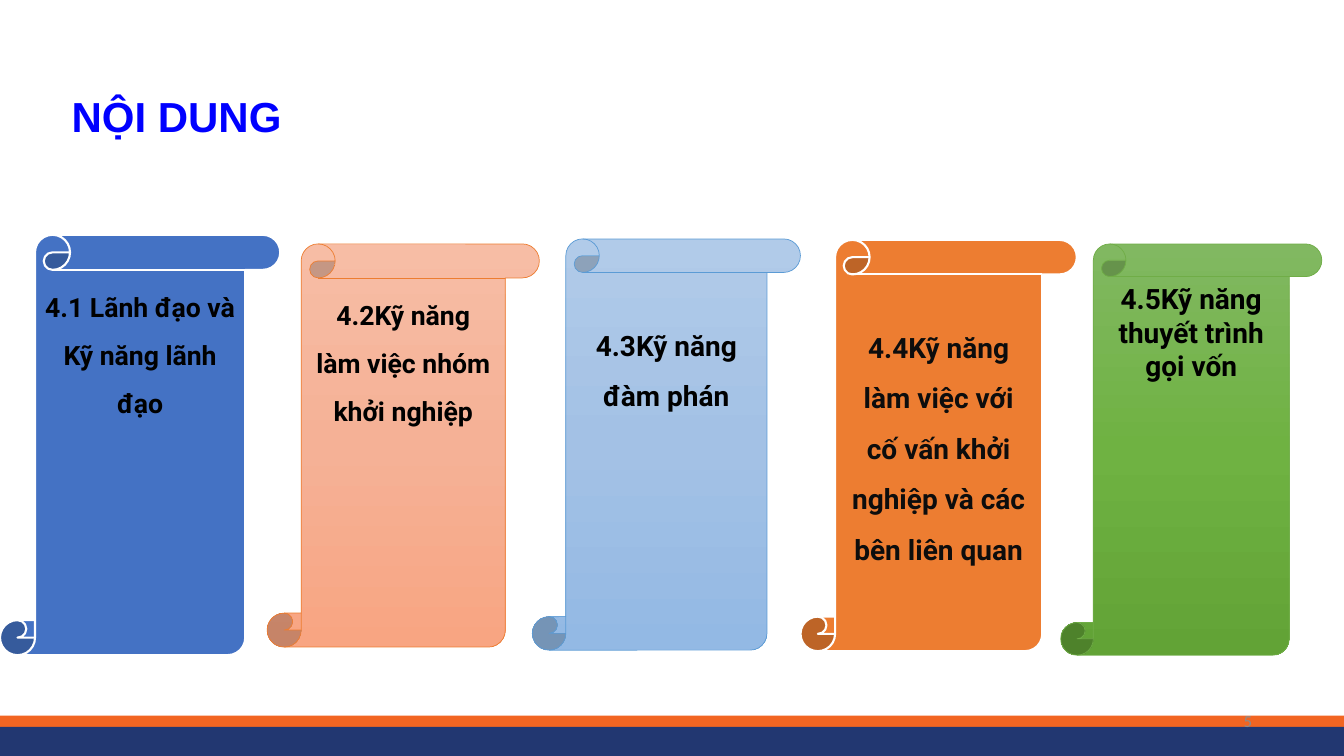
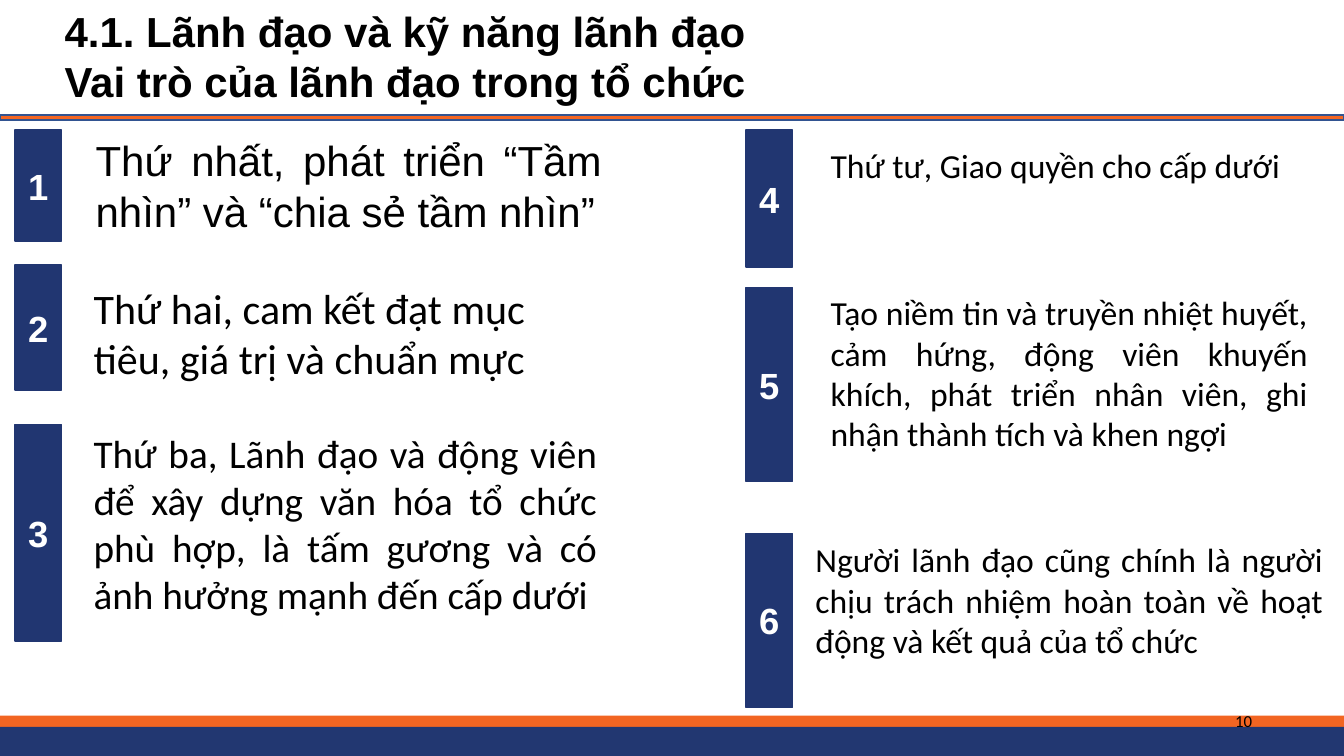
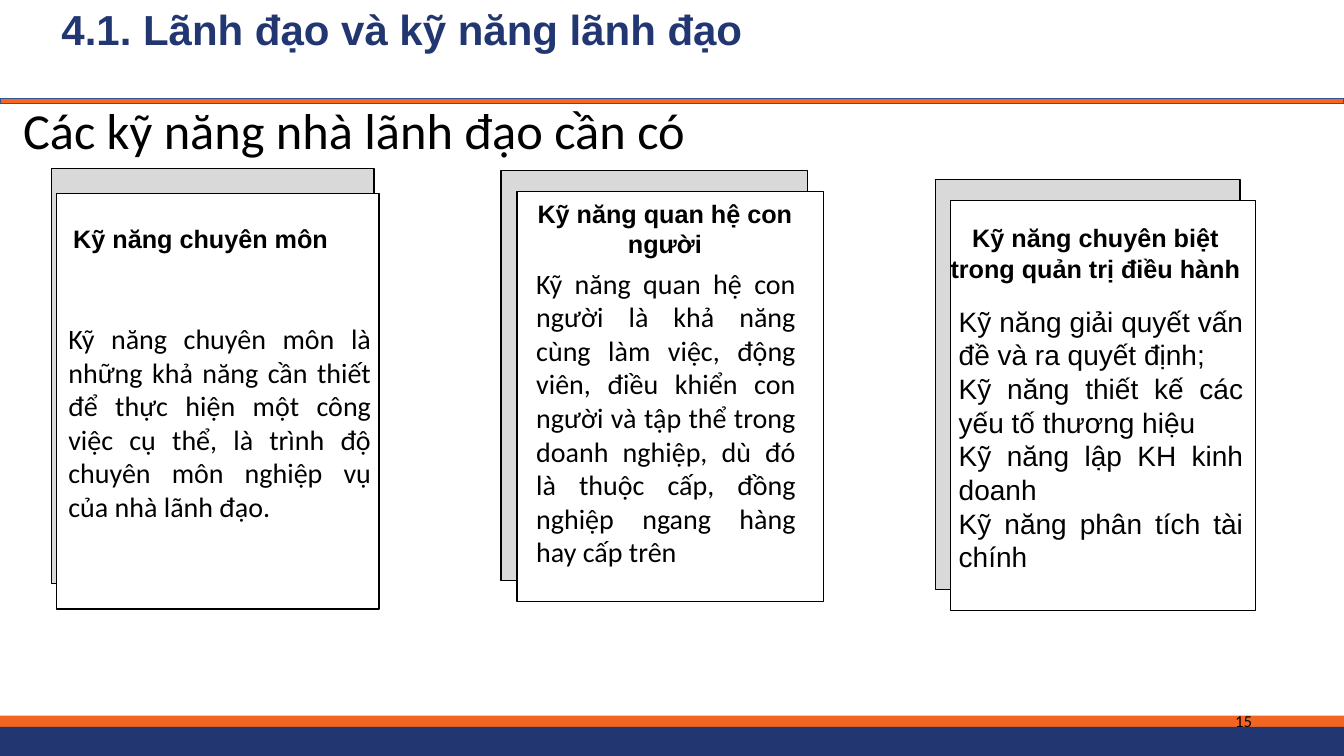
from copy import deepcopy
from dataclasses import dataclass

from pptx import Presentation
from pptx.dml.color import RGBColor
from pptx.enum.shapes import MSO_SHAPE
from pptx.enum.text import MSO_ANCHOR, PP_ALIGN
from pptx.util import Pt

LEFT, MID, RIGHT, FULL = PP_ALIGN.LEFT, PP_ALIGN.CENTER, PP_ALIGN.RIGHT, PP_ALIGN.JUSTIFY


@dataclass(frozen=True)
class Theme:
    black: str = "000000"
    white: str = "FFFFFF"
    grey: str = "D9D9D9"
    faint: str = "8C8C8C"
    ink: str = "0D0D0D"
    navy: str = "223771"
    block: str = "213671"
    band: str = "F26522"
    rule: str = "F46622"
    edge: str = "325491"
    blue: str = "0000FF"
    head: str = "Arial"
    body: str = "Calibri"
    card: str = "Roboto"
    lead: int = 36
    title: int = 30
    large: int = 28
    digit: int = 26
    text: int = 24
    small: int = 20
    tight: int = 19
    label: int = 18
    page: int = 12


THEME = Theme()


def px(value):
    return value * 9144


def tint(code):
    return RGBColor.from_string(code)


def put(target, **values):
    for name, value in values.items():
        setattr(target, name, value)


class Deck:
    def __init__(self):
        self.file = Presentation()
        put(self.file, slide_width=px(1333), slide_height=px(750))
        self.slide = None

    def start(self, title, box, color, page, shade=THEME.black, space=1.0):
        first = self.slide is None
        self.slide = self.file.slides.add_slide(self.file.slide_layouts[5])
        if first:
            self.bands()
        holder = self.slide.shapes.title
        self.place(holder, box)
        self.label(holder, title, THEME.title, THEME.head, color, bold=True, space=space)
        self.text(page, (942, 695, 300, 40), THEME.page, color=shade, align=RIGHT,
                  anchor=MSO_ANCHOR.MIDDLE, inset=0)

    def bands(self):
        tree = self.file.slide_master.shapes.element
        for mark, (top, high, color) in enumerate(((710, 12, THEME.band), (721, 29, THEME.navy))):
            band = self.shape((0, top, 1333, high), color)
            band.element.xpath("./p:nvSpPr/p:cNvPr")[0].set("id", str(20 + mark))
            tree.append(band.element)

    def place(self, shape, box):
        put(shape, **dict(zip(("left", "top", "width", "height"), map(px, box))))

    def label(self, shape, text, size, font=THEME.body, color=THEME.black, bold=False,
              align=LEFT, space=1.0, anchor=MSO_ANCHOR.TOP, inset=None, drop=None):
        frame = shape.text_frame
        put(frame, text=text, word_wrap=True, vertical_anchor=anchor)
        if inset is not None:
            sides = ("left", "top", "right", "bottom")
            put(frame, **{f"margin_{side}": px(inset) for side in sides})
        if drop:
            frame.margin_top = px(drop)
        for para in frame.paragraphs:
            put(para, alignment=align, line_spacing=space)
            for run in para.runs:
                put(run.font, size=Pt(size), name=font, bold=bold)
                run.font.color.rgb = tint(color)

    def text(self, text, box, size, **style):
        shape = self.slide.shapes.add_textbox(*map(px, box))
        self.label(shape, text, size, **style)

    def shape(self, box, fill, line=None, width=1, kind=MSO_SHAPE.RECTANGLE):
        shape = self.slide.shapes.add_shape(kind, *map(px, box))
        shape.shadow.inherit = False
        if isinstance(fill, str):
            shape.fill.solid()
            shape.fill.fore_color.rgb = tint(fill)
        else:
            self.blend(shape, fill)
        if line:
            shape.line.color.rgb = tint(line)
            shape.line.width = Pt(width)
        else:
            shape.line.fill.background()
        return shape

    def blend(self, shape, colors):
        shape.fill.gradient()
        shape.fill.gradient_angle = 270
        stops = shape.element.xpath(".//a:gsLst")[0]
        stops.append(deepcopy(stops[0]))
        for stop, spot, color in zip(shape.fill.gradient_stops, (0, 0.5, 1), colors):
            stop.position = spot
            stop.color.rgb = tint(color)

    def scroll(self, text, box, fill, line, width, size, **style):
        shape = self.shape(box, fill, line, width, MSO_SHAPE.VERTICAL_SCROLL)
        self.label(shape, text, size, font=THEME.card, bold=True, align=MID, **style)

    def rule(self, top):
        self.shape((0, top, 1333, 5), THEME.rule, THEME.edge)

    def block(self, digit, left, top, high):
        shape = self.shape((left, top, 46, high), THEME.block, THEME.block)
        self.label(shape, digit, THEME.digit, THEME.head, THEME.white, True, MID,
                   anchor=MSO_ANCHOR.MIDDLE)

    def panel(self, box, shift, head, spot, text, area, font):
        left, top, wide, high = box
        front = (left + shift[0], top + shift[1], wide, high)
        for place, fill in ((box, THEME.grey), (front, THEME.white)):
            self.shape(place, fill, THEME.black)
        self.text(head, spot, THEME.label, font=THEME.head, bold=True, align=MID)
        self.text(text, area, THEME.small, font=font, align=FULL)


def agenda(deck):
    deck.start("NỘI DUNG", (61, 85, 558, 61), THEME.blue, "5", THEME.faint)
    wide, low = {"space": 1.5}, {"space": 1.5, "drop": 39}
    scrolls = (
        ("4.1 Lãnh đạo và Kỹ năng lãnh đạo", (0, 233, 278, 417),
         "4472C4", THEME.white, 1.5, THEME.tight, wide),
        ("4.2Kỹ năng làm việc nhóm khởi nghiệp", (265, 242, 270, 400),
         ("F7BDA5", "F5B196", "F8A582"), "ED7D31", 0.5, THEME.tight, wide),
        ("4.3Kỹ năng đàm phán", (528, 237, 266, 408),
         ("B1CBE9", "A3C1E5", "93B9E4"), "5B9BD5", 0.5, THEME.small, low),
        ("4.4Kỹ năng làm việc với cố vấn khởi nghiệp và các bên liên quan", (794, 238, 274, 408),
         "ED7D31", THEME.white, 1.5, THEME.small, {**low, "color": THEME.ink}),
        ("4.5Kỹ năng thuyết trình gọi vốn", (1052, 242, 259, 408),
         ("81B861", "6FB242", "62A336"), "70AD47", 0.5, THEME.small, {}),
    )
    for *parts, style in scrolls:
        deck.scroll(*parts, **style)


def roles(deck):
    deck.start("4.1. Lãnh đạo và kỹ năng lãnh đạo\nVai trò của lãnh đạo trong tổ chức",
               (54, 0, 744, 111), THEME.black, "10")
    deck.rule(114)
    items = (
        (15, 129, 110, "Thứ nhất, phát triển “Tầm nhìn” và “chia sẻ tầm nhìn”",
         (85, 129, 522, 111), THEME.title, THEME.head, FULL),
        (15, 263, 124, "Thứ hai, cam kết đạt mục tiêu, giá trị và chuẩn mực",
         (83, 275, 519, 111), THEME.title, THEME.body, LEFT),
        (15, 421, 215, "Thứ ba, Lãnh đạo và động viên để xây dựng văn hóa tổ chức phù hợp, "
         "là tấm gương và có ảnh hưởng mạnh đến cấp dưới",
         (83, 421, 519, 246), THEME.large, THEME.body, FULL),
        (740, 129, 136, "Thứ tư, Giao quyền cho cấp dưới",
         (814, 139, 493, 91), THEME.text, THEME.body, LEFT),
        (740, 285, 193, "Tạo niềm tin và truyền nhiệt huyết, cảm hứng, động viên khuyến khích, "
         "phát triển nhân viên, ghi nhận thành tích và khen ngợi",
         (814, 285, 493, 212), THEME.text, THEME.body, FULL),
        (740, 529, 173, "Người lãnh đạo cũng chính là người chịu trách nhiệm hoàn toàn "
         "về hoạt động và kết quả của tổ chức",
         (799, 530, 523, 172), THEME.text, THEME.body, FULL),
    )
    for digit, (left, top, high, text, box, size, font, align) in enumerate(items, 1):
        deck.block(str(digit), left, top, high)
        deck.text(text, box, size, font=font, align=align)


def skills(deck):
    deck.start("4.1. Lãnh đạo và kỹ năng lãnh đạo", (51, 4, 882, 101), THEME.navy, "15", space=0.9)
    deck.rule(98)
    deck.text("Các kỹ năng nhà lãnh đạo cần có", (13, 93, 1079, 71), THEME.lead)
    panels = (
        ((51, 167, 320, 412), (5, 25), "Kỹ năng chuyên môn", (33, 217, 332, 40),
         "Kỹ năng chuyên môn là những khả năng cần thiết để thực hiện một công việc cụ thể, "
         "là trình độ chuyên môn nghiệp vụ của nhà lãnh đạo.",
         (58, 314, 320, 266), THEME.body),
        ((497, 169, 304, 407), (16, 21), "Kỹ năng quan hệ con người", (502, 192, 315, 71),
         "Kỹ năng quan hệ con người là khả năng cùng làm việc, động viên, điều khiển con người "
         "và tập thể trong doanh nghiệp, dù đó là thuộc cấp, đồng nghiệp ngang hàng hay cấp trên",
         (522, 259, 277, 347), THEME.body),
        ((928, 178, 302, 407), (15, 21), "Kỹ năng chuyên biệt trong quản trị điều hành",
         (930, 216, 313, 71),
         "Kỹ năng giải quyết vấn đề và ra quyết định;\nKỹ năng thiết kế các yếu tố thương hiệu\n"
         "Kỹ năng lập KH kinh doanh\nKỹ năng phân tích tài chính",
         (941, 297, 302, 279), THEME.head),
    )
    for panel in panels:
        deck.panel(*panel)


def main():
    deck = Deck()
    for build in (agenda, roles, skills):
        build(deck)
    deck.file.save("out.pptx")


if __name__ == "__main__":
    main()
